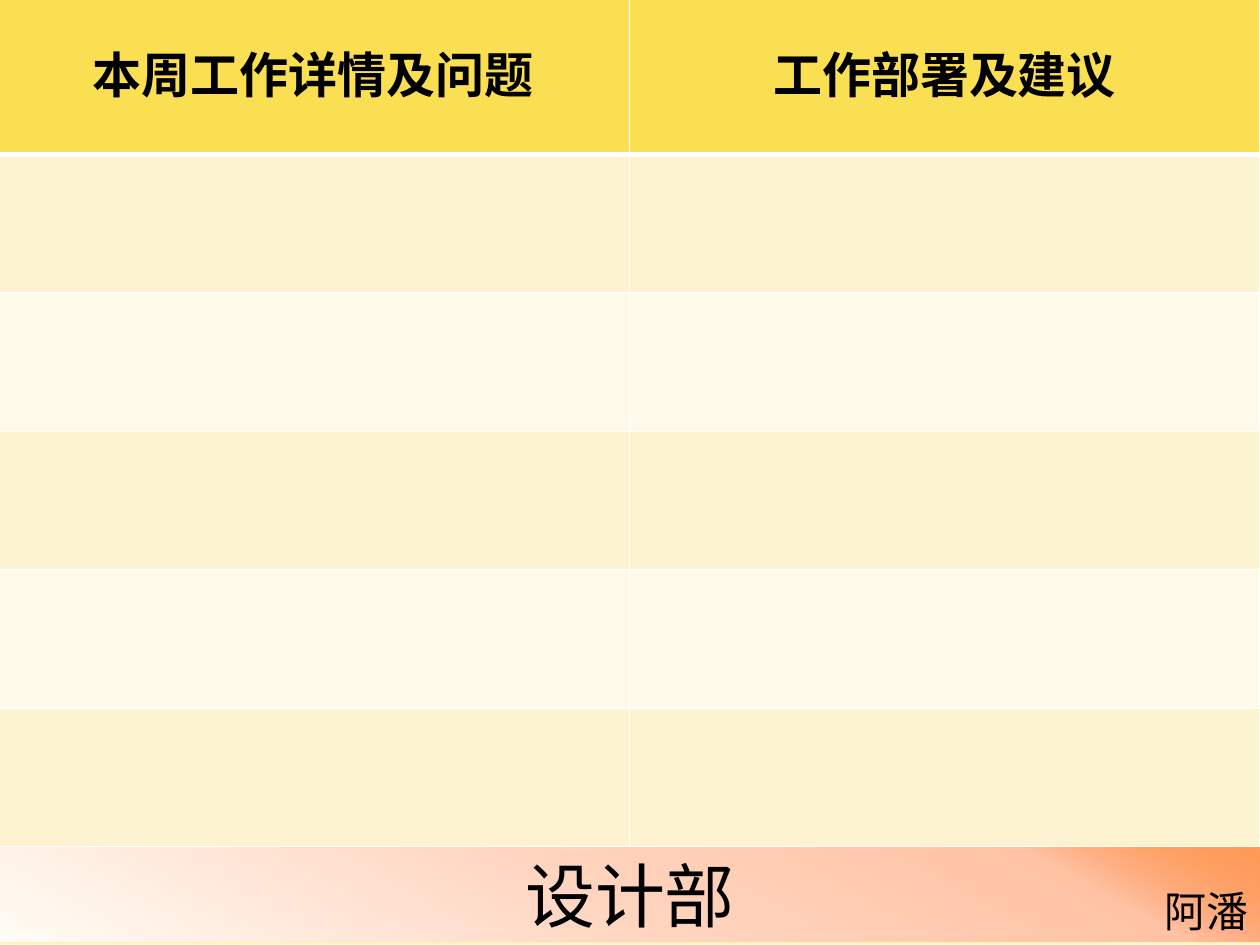
from dataclasses import dataclass

from lxml import etree
from pptx import Presentation
from pptx.dml.color import RGBColor
from pptx.enum import shapes, text
from pptx.oxml.ns import qn
from pptx.util import Pt


@dataclass(frozen=True)
class Theme:
    font: str = "Noto Sans CJK SC"
    ink: str = "000000"
    rule: str = "FFFFFF"
    header: str = "FBDF53"
    bands: tuple = ("FDF3D1", "FEF9E9")
    edge: str = "FDF1B2"
    # Gradient stops: position %, colour, opacity %
    backdrop: tuple = ((0, "FFFDF6", 100), (74, "FDF1B2", 100),
                       (83, "FDF1B2", 100), (100, "FEF5CB", 100))
    footer: tuple = ((0, "FFFDF6", 100), (45, "FFD6C2", 100),
                     (83, "FFC2A3", 100), (100, "FF5D0D", 58))
    title_size: int = 40
    header_size: int = 28
    name_size: int = 24


class Deck:
    def __init__(self, theme, width, height):
        self.theme = theme
        self.prs = Presentation()
        self.prs.slide_width, self.prs.slide_height = Pt(width), Pt(height)
        self.slide = self.prs.slides.add_slide(self.prs.slide_layouts[6])

    def gradient(self, props, stops, angle):
        """Replace the solid fill in props with a linear gradient."""
        grad = etree.Element(qn("a:gradFill"), rotWithShape="1")
        gs_list = etree.SubElement(grad, qn("a:gsLst"))
        for pos, color, opacity in stops:
            gs = etree.SubElement(gs_list, qn("a:gs"), pos=str(pos * 1000))
            clr = etree.SubElement(gs, qn("a:srgbClr"), val=color)
            if opacity < 100:
                etree.SubElement(clr, qn("a:alpha"), val=str(opacity * 1000))
        etree.SubElement(grad, qn("a:lin"), ang=str(angle * 60000), scaled="0")
        props.replace(props.find(qn("a:solidFill")), grad)

    def background(self, stops, angle):
        self.slide.background.fill.solid()
        props = self.slide._element.find(".//" + qn("p:bgPr"))
        self.gradient(props, stops, angle)

    def put_text(self, tf, words, size, align, bold=False):
        p = tf.paragraphs[0]
        p.text, p.alignment = words, align
        font = p.font
        font.name, font.size, font.bold = self.theme.font, Pt(size), bold
        font.color.rgb = RGBColor.from_string(self.theme.ink)
        latin = font._element.find(qn("a:latin"))
        latin.addnext(etree.Element(qn("a:ea"), typeface=self.theme.font))

    def band(self, box, words, stops, angle):
        sp = self.slide.shapes.add_shape(
            shapes.MSO_SHAPE.RECTANGLE, *map(Pt, box))
        sp.shadow.inherit = False
        sp.fill.solid()
        self.gradient(sp._element.spPr, stops, angle)
        sp.line.color.rgb = RGBColor.from_string(self.theme.edge)
        sp.line.width = Pt(0.75)
        self.put_text(sp.text_frame, words, self.theme.title_size,
                      text.PP_ALIGN.CENTER)

    def label(self, box, words):
        tf = self.slide.shapes.add_textbox(*map(Pt, box)).text_frame
        tf.word_wrap = False
        tf.auto_size = text.MSO_AUTO_SIZE.SHAPE_TO_FIT_TEXT
        self.put_text(tf, words, self.theme.name_size, text.PP_ALIGN.RIGHT)

    def style_cell(self, cell, color, top, bottom):
        tc_pr = cell._tc.get_or_add_tcPr()
        for side, width in zip("LRTB", (1, 1, top, bottom)):
            ln = etree.SubElement(tc_pr, qn("a:ln" + side), w=str(Pt(width)))
            fill = etree.SubElement(ln, qn("a:solidFill"))
            etree.SubElement(fill, qn("a:srgbClr"), val=self.theme.rule)
        cell.fill.solid()
        cell.fill.fore_color.rgb = RGBColor.from_string(color)

    def table(self, left, top, widths, heights, headers):
        table = self.slide.shapes.add_table(
            len(heights), len(widths), Pt(left), Pt(top),
            Pt(sum(widths)), Pt(sum(heights))).table
        for column, width in zip(table.columns, widths):
            column.width = Pt(width)
        for i, height in enumerate(heights):
            table.rows[i].height = Pt(height)
            color = self.theme.bands[(i - 1) % 2] if i else self.theme.header
            for cell in table.rows[i].cells:
                self.style_cell(cell, color, top=3 if i == 1 else 1,
                                bottom=1 if i else 3)
        # Header row
        for cell, words in zip(table.rows[0].cells, headers):
            cell.margin_left = cell.margin_right = cell.margin_top = Pt(0.72)
            cell.margin_bottom = Pt(3.6)
            cell.vertical_anchor = text.MSO_ANCHOR.MIDDLE
            self.put_text(cell.text_frame, words, self.theme.header_size,
                          text.PP_ALIGN.CENTER, bold=True)


def main():
    theme = Theme()
    deck = Deck(theme, 720, 540)
    deck.background(theme.backdrop, 90)

    # Department footer and author
    deck.band((-1.5, 483.4, 723, 55.4), "设计部", theme.footer, 299)
    deck.label((658, 502.6, 62.6, 36), "阿潘")

    # Weekly report grid
    deck.table(-2.2, -2.9, (362, 360), (91.2,) + (79.1,) * 5,
               ("本周工作详情及问题", "工作部署及建议"))

    deck.prs.save("out.pptx")


if __name__ == "__main__":
    main()
